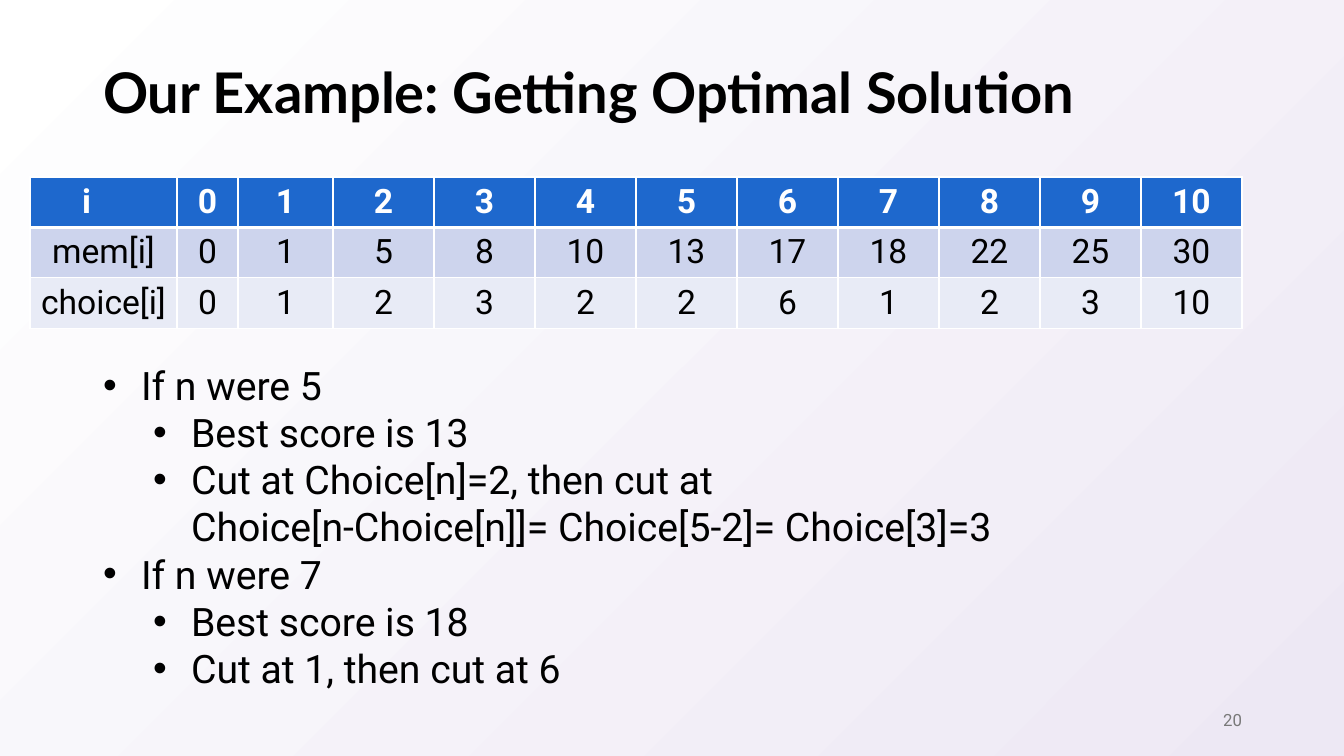
from lxml import etree
from pptx import Presentation
from pptx.dml.color import RGBColor
from pptx.enum.text import MSO_ANCHOR, MSO_AUTO_SIZE, PP_ALIGN
from pptx.oxml.ns import qn
from pptx.util import Emu, Pt

EMU_PER_PX = 914400 / 100.8

BLACK = RGBColor(0x00, 0x00, 0x00)
WHITE = RGBColor(0xFF, 0xFF, 0xFF)
LILAC = RGBColor(0xED, 0xE8, 0xF4)
GRAY = RGBColor(0x79, 0x79, 0x79)
HEADER_BLUE = RGBColor(0x1E, 0x68, 0xCD)
ROW_BLUE = RGBColor(0xCD, 0xD4, 0xED)
ROW_PALE = RGBColor(0xE8, 0xEB, 0xF6)

TABLE_ROWS = [
    ["i", *range(11)],
    ["mem[i]", 0, 1, 5, 8, 10, 13, 17, 18, 22, 25, 30],
    ["choice[i]", 0, 1, 2, 3, 2, 2, 6, 1, 2, 3, 10],
]
ROW_FILLS = [HEADER_BLUE, ROW_BLUE, ROW_PALE]
COLUMN_WIDTHS = [147, 61, 95] + [101] * 9
ROW_HEIGHT = 49

# Level and text of each list item
BULLETS = [
    (0, "If n were 5"),
    (1, "Best score is 13"),
    (1, "Cut at Choice[n]=2, then cut at\vChoice[n-Choice[n]]= Choice[5-2]= Choice[3]=3"),
    (0, "If n were 7"),
    (1, "Best score is 18"),
    (1, "Cut at 1, then cut at 6"),
]


def px(value):
    return Emu(round(value * EMU_PER_PX))


def place(shape, left, top, width, height):
    shape.left, shape.top = px(left), px(top)
    shape.width, shape.height = px(width), px(height)


def write(paragraph, text, size, color=BLACK, font="Roboto", bold=False,
          align=PP_ALIGN.LEFT, line_spacing=None):
    paragraph.text = text
    paragraph.alignment = align
    paragraph.line_spacing = line_spacing
    for run in paragraph.runs:
        run.font.name = font
        run.font.size = Pt(size)
        run.font.bold = bold
        run.font.color.rgb = color


def set_background(slide):
    fill = slide.background.fill
    fill.gradient()
    fill.gradient_angle = 315
    for stop, color in zip(fill.gradient_stops, (WHITE, LILAC)):
        stop.color.rgb = color


def add_title(slide, text):
    title = slide.shapes.title
    place(title, 93, 40, 1159, 110)
    title.text_frame.vertical_anchor = MSO_ANCHOR.MIDDLE
    write(title.text_frame.paragraphs[0], text, 40, font="Lato", bold=True,
          line_spacing=0.9)


def set_borders(cell, top, bottom):
    properties = cell._tc.get_or_add_tcPr()
    for tag, points in (("lnL", 1), ("lnR", 1), ("lnT", top), ("lnB", bottom)):
        line = etree.SubElement(properties, qn("a:" + tag), w=str(Pt(points)))
        fill = etree.SubElement(line, qn("a:solidFill"))
        etree.SubElement(fill, qn("a:srgbClr"), val=str(WHITE))


def add_score_table(slide):
    row_count = len(TABLE_ROWS)
    frame = slide.shapes.add_table(
        row_count, len(COLUMN_WIDTHS), px(30), px(177),
        px(sum(COLUMN_WIDTHS)), px(ROW_HEIGHT * row_count))
    table = frame.table
    for column, width in zip(table.columns, COLUMN_WIDTHS):
        column.width = px(width)
    for row_index, values in enumerate(TABLE_ROWS):
        table.rows[row_index].height = px(ROW_HEIGHT)
        is_header = row_index == 0
        for column_index, value in enumerate(values):
            cell = table.cell(row_index, column_index)
            set_borders(cell, top=3 if row_index == 1 else 1,
                        bottom=3 if is_header else 1)
            cell.fill.solid()
            cell.fill.fore_color.rgb = ROW_FILLS[row_index]
            write(cell.text_frame.paragraphs[0], str(value), 24,
                  color=WHITE if is_header else BLACK, bold=is_header,
                  align=PP_ALIGN.CENTER)
    # The index label sits left of its column's centre
    table.cell(0, 0).margin_right = px(44)


def set_bullet(paragraph, level):
    paragraph.level = level
    properties = paragraph._p.get_or_add_pPr()
    properties.set("marL", str(px(38 + 50 * level)))
    properties.set("indent", str(-px(38)))
    etree.SubElement(properties, qn("a:buFont"), typeface="Arial")
    etree.SubElement(properties, qn("a:buChar"), char="•")


def add_bullets(slide, items):
    body = slide.placeholders[1]
    place(body, 93, 356, 1000, 343)
    frame = body.text_frame
    frame.auto_size = MSO_AUTO_SIZE.SHAPE_TO_FIT_TEXT
    for index, (level, text) in enumerate(items):
        paragraph = frame.add_paragraph() if index else frame.paragraphs[0]
        write(paragraph, text, 28, line_spacing=Pt(33.7))
        paragraph.space_before = Pt(0)
        set_bullet(paragraph, level)


def add_slide_number(slide, number):
    box = slide.shapes.add_textbox(px(950), px(700), px(302), px(40))
    box.text_frame.word_wrap = True
    box.text_frame.vertical_anchor = MSO_ANCHOR.MIDDLE
    write(box.text_frame.paragraphs[0], number, 12, color=GRAY,
          align=PP_ALIGN.RIGHT)


def main():
    presentation = Presentation()
    presentation.slide_width, presentation.slide_height = px(1344), px(756)
    slide = presentation.slides.add_slide(presentation.slide_layouts[1])
    set_background(slide)
    add_title(slide, "Our Example: Getting Optimal Solution")
    add_score_table(slide)
    add_slide_number(slide, "20")
    add_bullets(slide, BULLETS)
    presentation.save("out.pptx")


if __name__ == "__main__":
    main()
